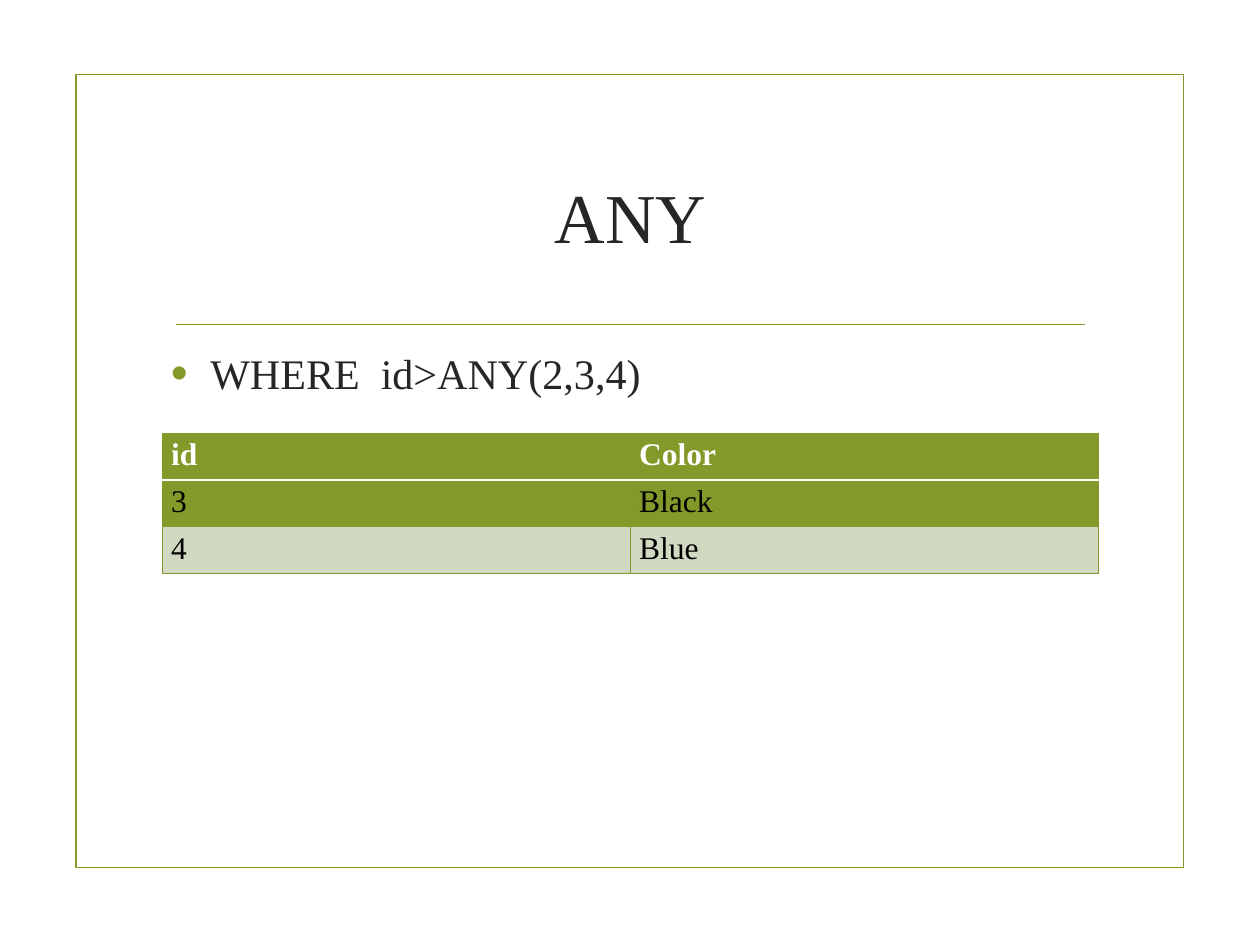
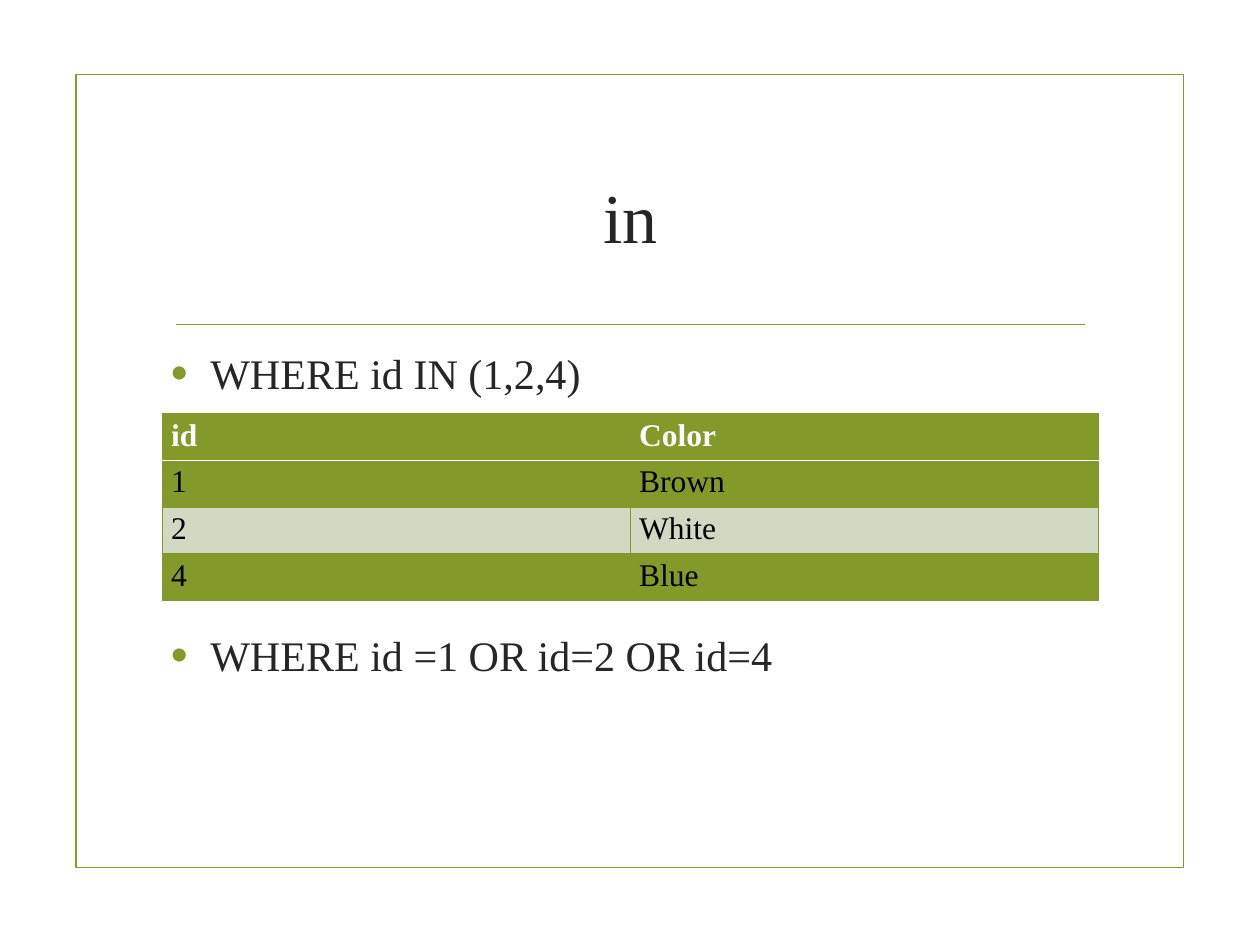
"""Build two slides on the SQL operators ANY and IN."""
from lxml.etree import SubElement
from pptx import Presentation
from pptx.dml.color import RGBColor
from pptx.enum.shapes import MSO_CONNECTOR, MSO_SHAPE
from pptx.enum.text import MSO_ANCHOR, PP_ALIGN
from pptx.oxml.ns import qn
from pptx.util import Pt

GREEN = RGBColor(0x83, 0x99, 0x2A)
PALE_GREEN = RGBColor(0xD2, 0xD9, 0xC3)
DARK = RGBColor(0x26, 0x26, 0x26)
BLACK = RGBColor(0, 0, 0)
WHITE = RGBColor(0xFF, 0xFF, 0xFF)

LEFT, WIDTH = 131.8, 761
ROW_HEIGHT = 35.6
TITLE_FONT = {"name": "Times New Roman", "size": Pt(56.9)}
BODY_FONT = {"name": "Times New Roman", "size": Pt(34.2)}
CELL_FONT = {"name": "Times New Roman", "size": Pt(25.6)}

SLIDES = [
    {
        "title": "ANY",
        "conditions": [("WHERE  id>ANY(2,3,4)", 6.8)],
        "table_top": 352,
        "rows": [("id", "Color"), ("3", "Black"), ("4", "Blue")],
    },
    {
        "title": "in",
        "conditions": [("WHERE id IN (1,2,4)", 6.8), ("WHERE id =1 OR id=2 OR id=4", 179.5)],
        "table_top": 336.2,
        "rows": [("id", "Color"), ("1", "Brown"), ("2", "White"), ("4", "Blue")],
    },
]


def write(paragraph, text, font_format, color, bold=False):
    run = paragraph.add_run()
    run.text = text
    for attribute, value in font_format.items():
        setattr(run.font, attribute, value)
    run.font.bold = bold
    run.font.color.rgb = color


def add_border(cell, side, color, width):
    border = SubElement(cell._tc.get_or_add_tcPr(), qn(f"a:{side}"), w=str(Pt(width)))
    SubElement(SubElement(border, qn("a:solidFill")), qn("a:srgbClr"), val=str(color))


deck = Presentation()
deck.slide_width, deck.slide_height = Pt(1024), Pt(768)

for content in SLIDES:
    slide = deck.slides.add_slide(deck.slide_layouts[6])

    frame = slide.shapes.add_shape(MSO_SHAPE.RECTANGLE, Pt(62), Pt(60.6), Pt(900), Pt(644.4))
    frame.shadow.inherit = False
    frame.fill.background()
    frame.line.color.rgb = GREEN
    frame.line.width = Pt(1.25)

    rule = slide.shapes.add_connector(MSO_CONNECTOR.STRAIGHT, Pt(143), Pt(263.5), Pt(882), Pt(263.5))
    rule.line.color.rgb = GREEN
    rule.line.width = Pt(0.75)
    SubElement(rule._element.spPr, qn("a:effectLst"))

    title = slide.shapes.add_textbox(Pt(LEFT), Pt(102.2), Pt(WIDTH), Pt(146.2)).text_frame
    title.word_wrap = True
    title.vertical_anchor = MSO_ANCHOR.MIDDLE
    title.paragraphs[0].alignment = PP_ALIGN.CENTER
    write(title.paragraphs[0], content["title"], TITLE_FONT, DARK)

    body = slide.shapes.add_textbox(Pt(LEFT), Pt(278.6), Pt(WIDTH), Pt(386)).text_frame
    body.word_wrap = True
    for index, (condition, space_before) in enumerate(content["conditions"]):
        paragraph = body.add_paragraph() if index else body.paragraphs[0]
        paragraph.space_before, paragraph.space_after = Pt(space_before), Pt(8.5)
        write(paragraph, condition, BODY_FONT, DARK)
        bullet = paragraph._p.get_or_add_pPr()
        bullet.set("marL", str(Pt(32)))
        bullet.set("indent", str(Pt(-32)))
        SubElement(SubElement(bullet, qn("a:buClr")), qn("a:srgbClr"), val=str(GREEN))
        SubElement(bullet, qn("a:buSzPct"), val="115000")
        SubElement(bullet, qn("a:buFont"), typeface="Arial")
        SubElement(bullet, qn("a:buChar"), char="•")

    rows = content["rows"]
    colors = slide.shapes.add_table(
        len(rows), 2, Pt(LEFT), Pt(content["table_top"]), Pt(WIDTH), Pt(ROW_HEIGHT * len(rows))
    ).table
    for row_index, row in enumerate(rows):
        header = row_index == 0
        for column_index, text in enumerate(row):
            cell = colors.cell(row_index, column_index)
            write(cell.text_frame.paragraphs[0], text, CELL_FONT, WHITE if header else BLACK, header)
            white_side = {0: "lnB", 1: "lnT"}.get(row_index)
            for side in ("lnL", "lnR", "lnT", "lnB"):
                if side == white_side:
                    add_border(cell, side, WHITE, 1.25)
                else:
                    add_border(cell, side, GREEN, 0.75)
            cell.fill.solid()
            cell.fill.fore_color.rgb = PALE_GREEN if row_index and row_index % 2 == 0 else GREEN

deck.save("out.pptx")
